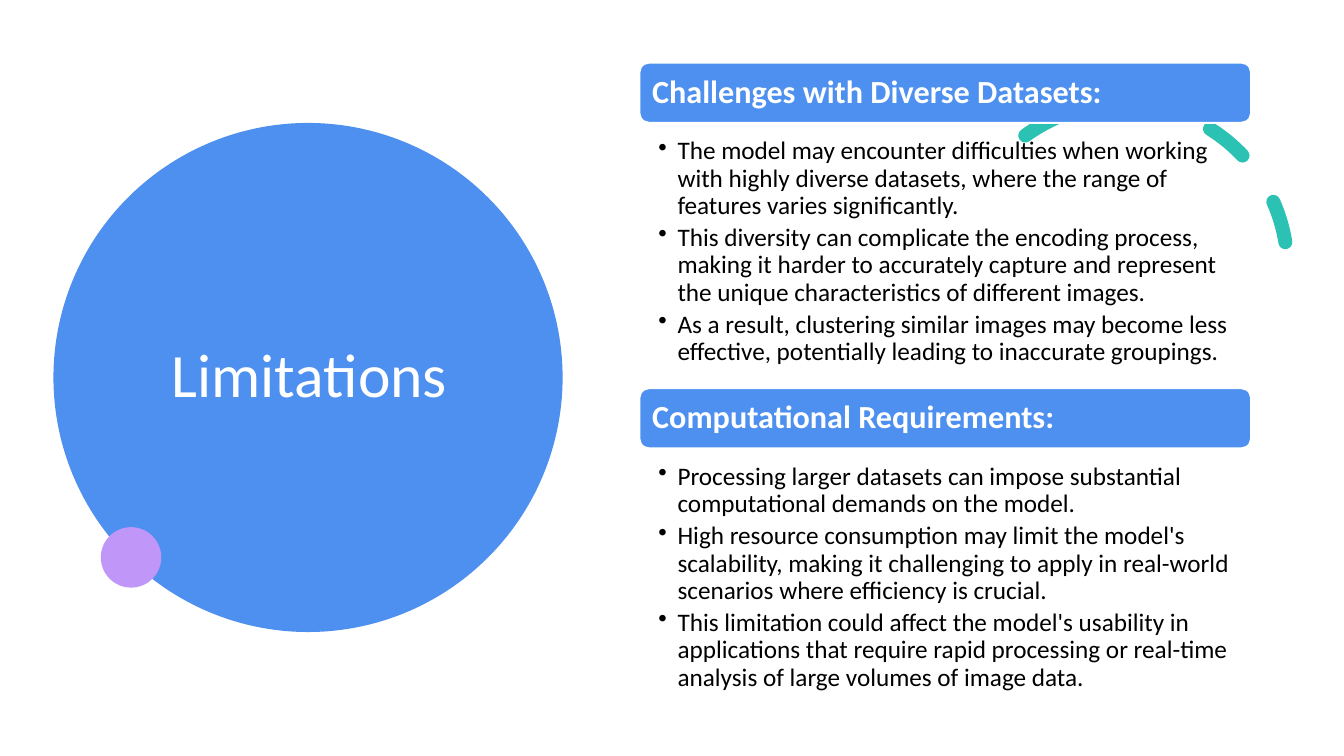
from pptx import Presentation
from pptx.dml.color import RGBColor as RGB
from pptx.enum.dml import MSO_LINE as Dash
from pptx.enum.shapes import MSO_SHAPE as Shape
from pptx.enum.text import MSO_ANCHOR as Anchor, PP_ALIGN as Align
from pptx.oxml.ns import qn
from pptx.util import Inches, Pt
from lxml import etree

BLUE, TEAL, LILAC = "4D90EF", "2BC2B4", "C097F8"
WHITE, BLACK = "FFFFFF", "000000"


def color(code):
    return RGB.from_string(code)


class Page:
    font = "Calibri"
    indent = 0.19

    def __init__(self, slide):
        self.slide = slide

    def shape(self, kind, left, top, width, height, fill=None, line=None, weight=1.5):
        item = self.slide.shapes.add_shape(
            kind, Inches(left), Inches(top), Inches(width), Inches(height))
        item.shadow.inherit = False
        if fill:
            item.fill.solid()
            item.fill.fore_color.rgb = color(fill)
        else:
            item.fill.background()
        if line:
            item.line.color.rgb = color(line)
            item.line.width = Pt(weight)
        else:
            item.line.fill.background()
        return item

    def arc(self, left, top, size, turn, start, end, line, weight):
        item = self.shape(Shape.ARC, left, top, size, size, line=line, weight=weight)
        item.rotation = turn
        item.adjustments[0], item.adjustments[1] = start, end
        item.line.dash_style = Dash.DASH
        item.element.spPr.find(qn("a:ln")).set("cap", "rnd")

    def text(self, left, top, width, height, lines, size, ink, bold=False,
             align=Align.LEFT, anchor=Anchor.MIDDLE, pads=(0.1, 0.1, 0.1, 0.1),
             after=0, bullet=False):
        box = self.slide.shapes.add_textbox(
            Inches(left), Inches(top), Inches(width), Inches(height))
        frame = box.text_frame
        frame.word_wrap = True
        frame.vertical_anchor = anchor
        (frame.margin_left, frame.margin_top,
         frame.margin_right, frame.margin_bottom) = map(Inches, pads)
        for i, line in enumerate(lines):
            para = frame.add_paragraph() if i else frame.paragraphs[0]
            para.alignment = align
            para.line_spacing = 0.9
            para.space_after = Pt(after)
            if bullet:
                self.bullet(para)
            run = para.add_run()
            run.text = line
            run.font.name = self.font
            run.font.size = Pt(size)
            run.font.bold = bold
            run.font.color.rgb = color(ink)

    def bullet(self, para):
        props = para._p.get_or_add_pPr()
        props.set("marL", str(Inches(self.indent)))
        props.set("indent", str(-Inches(self.indent)))
        etree.SubElement(props, qn("a:buChar")).set("char", "•")

    def topic(self, top, head, points):
        left, width, tall = 6.34, 6.07, 0.6
        self.shape(Shape.ROUNDED_RECTANGLE, left, top, width, tall, BLUE, WHITE)
        self.text(left + 0.03, top + 0.03, width - 0.06, tall - 0.06,
                  [head], 23, WHITE, bold=True)
        self.text(left, top + 0.72, width, 2.4, points, 18, BLACK,
                  anchor=Anchor.TOP, pads=(0.19, 0.03, 0.18, 0.03),
                  after=3.6, bullet=True)


TOPICS = [
    ("Challenges with Diverse Datasets:", [
        "The model may encounter difficulties when working with highly diverse "
        "datasets, where the range of features varies significantly.",
        "This diversity can complicate the encoding process, making it harder to "
        "accurately capture and represent the unique characteristics of different images.",
        "As a result, clustering similar images may become less effective, "
        "potentially leading to inaccurate groupings.",
    ]),
    ("Computational Requirements:", [
        "Processing larger datasets can impose substantial computational demands "
        "on the model.",
        "High resource consumption may limit the model's scalability, making it "
        "challenging to apply in real-world scenarios where efficiency is crucial.",
        "This limitation could affect the model's usability in applications that "
        "require rapid processing or real-time analysis of large volumes of image data.",
    ]),
]


def main():
    deck = Presentation()
    deck.slide_width, deck.slide_height = Inches(13.33), Inches(7.5)
    page = Page(deck.slides.add_slide(deck.slide_layouts[6]))

    # Circles and dashed arc
    page.shape(Shape.OVAL, 0.53, 1.22, 5.05, 5.05, BLUE)
    page.arc(9.5, 1.03, 3.27, 330.2, 158.17, 17.81, TEAL, 10)
    page.shape(Shape.OVAL, 1, 5.23, 0.6, 0.6, LILAC)

    # Title
    page.text(0.67, 1.22, 4.8, 5.05, ["Limitations"], 44, WHITE,
              align=Align.CENTER, pads=(0.1, 0.05, 0.1, 0.05))

    # Topics with their points
    for i, (head, points) in enumerate(TOPICS):
        page.topic(0.62 + 3.23 * i, head, points)

    deck.save("out.pptx")


if __name__ == "__main__":
    main()
